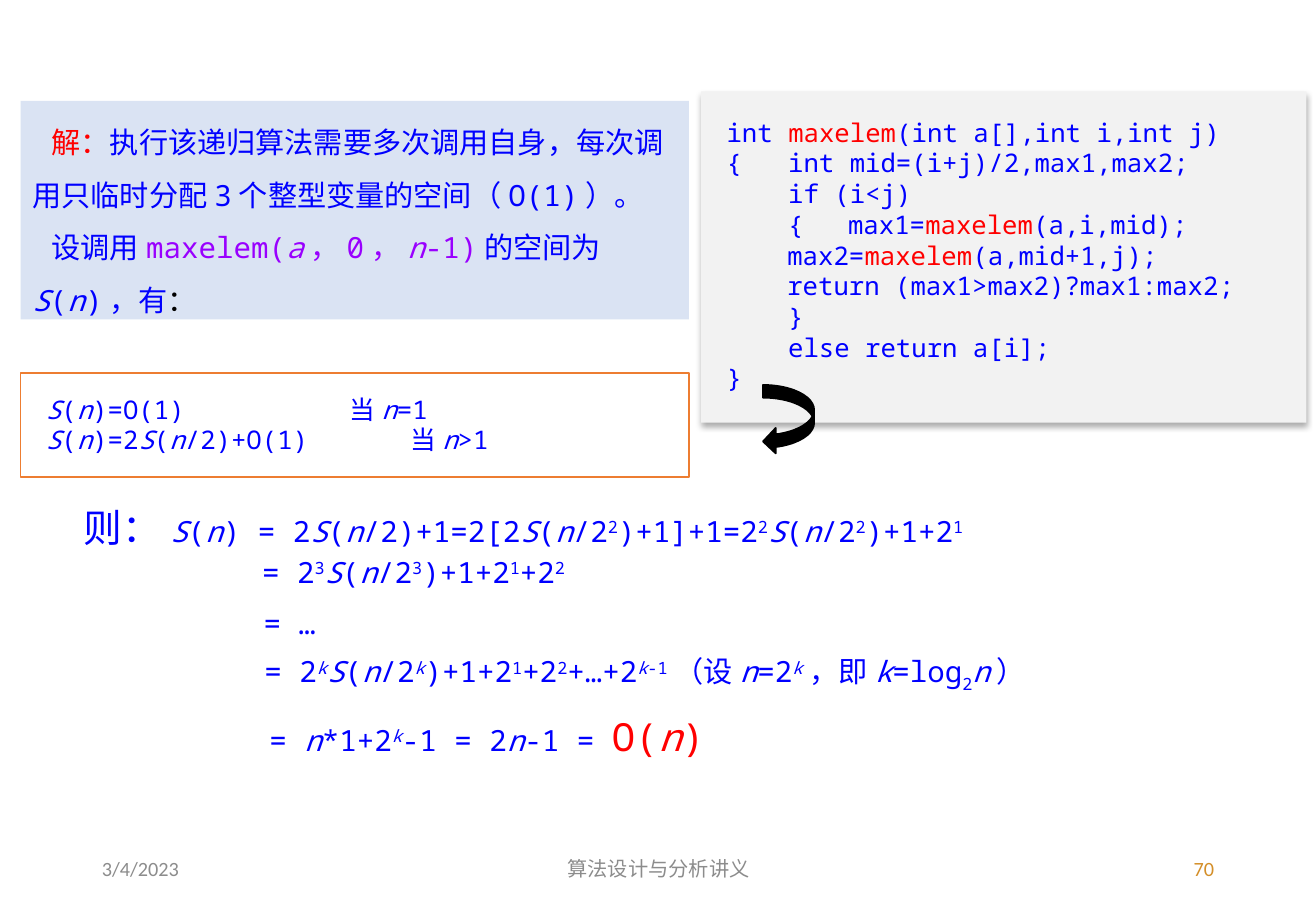
"""Build the slide on the space complexity of the recursive maximum search."""
from lxml import etree
from pptx import Presentation
from pptx import util as u
from pptx.dml.color import RGBColor
from pptx.enum import shapes, text
from pptx.oxml.ns import qn

COLOURS = {
    "ink": "0000FF", "red": "FF0000", "purple": "9900FF", "black": "000000",
    "intro": "DAE3F3", "white": "FFFFFF", "orange": "ED7D31", "card": "F2F2F2",
    "grey": "8C8C8C", "gold": "D48F29",
}
MONO, CJK = "Noto Sans Mono", "Noto Sans CJK SC"
BODY, LARGE, SMALL, FOOT = 17.3, 22.9, 15.2, 12
MARKS = {
    "~": ("italic", True), "^": ("baseline", "30000"), "_": ("baseline", "-25000"),
    "#": ("colour", "red"), "@": ("colour", "purple"), "$": ("colour", "black"),
    "&": ("size", LARGE),
}

INTRO = [
    "#解：#执行该递归算法需要多次调用自身，每次调用只临时分配3个整型变量的空间（O(1)）。",
    "设调用@maxelem(~a~，0，~n~-1)@的空间为~S~(~n~)，有$：$",
]
RECURRENCE = ["~S~(~n~)=O(1)\t当~n~=1", "~S~(~n~)=2~S~(~n~/2)+O(1)\t\t当~n~>1"]
CODE = [
    "int #maxelem#(int a[],int i,int j)",
    "{   int mid=(i+j)/2,max1,max2;",
    "    if (i<j)",
    "    {\tmax1=#maxelem#(a,i,mid);",
    "\tmax2=#maxelem#(a,mid+1,j);",
    "\treturn (max1>max2)?max1:max2;",
    "    }",
    "    else return a[i];",
    "}",
]
STEPS = [
    ((1.5, 10.41, 23.44, 1.24), "&则：&~S~(~n~) = 2~S~(~n~/2)+1=2[2~S~(~n~/2^2^)+1]+1=2^2^~S~(~n~/2^2^)+1+2^1^"),
    ((5.23, 11.46, 8.81, 0.99), "= 2^3^~S~(~n~/2^3^)+1+2^1^+2^2^"),
    ((5.26, 12.52, 3.66, 0.99), "= …"),
    ((5.28, 13.64, 19.23, 0.99),
     "= 2^~k~^~S~(~n~/2^~k~^)+1+2^1^+2^2^+…+2^~k~-1^（设~n~=2^~k~^，即~k~=log_2_~n~）"),
    ((5.38, 14.78, 10.54, 1.24), "= ~n~*1+2^~k~^-1 = 2~n~-1 = &#O(~n~)#&"),
]
FOOTERS = [
    ((1.88, 17.65, 6.2, 1.02), "3/4/2023", "LEFT", "grey"),
    ((9.12, 17.65, 9.3, 1.02), "算法设计与分析讲义", "CENTER", "grey"),
    ((19.43, 17.65, 6.2, 1.02), "70", "RIGHT", "gold"),
]
PANELS = [
    ((0.43, 2.11, 13.97, 4.57), "intro", None, INTRO,
     {"size": BODY, "leading": 1.8, "indent": 0.4}),
    ((0.43, 7.8, 13.97, 2.18), "white", "orange", RECURRENCE,
     {"size": SMALL, "insets": (0.53, 0.43, 0.25, 0.43), "tabs": (6.35, 7.62)}),
    ((14.66, 1.91, 12.65, 6.93), "card", None, CODE,
     {"size": SMALL, "insets": (0.53, 0.53, 0.25, 0.53), "tabs": (1.27, 2.54)}),
]
ARROW = (15.95, 8.05, 1.07, 1.45)


def colour(name):
    return RGBColor.from_string(COLOURS[name])


def set_all(target, values):
    for name, value in values.items():
        setattr(target, name, value)


def split_marks(line, base):
    look, piece = dict(base), ""
    for letter in line:
        if letter not in MARKS:
            piece += letter
            continue
        if piece:
            yield piece, dict(look)
        piece = ""
        key, value = MARKS[letter]
        look[key] = base[key] if look[key] == value else value
    if piece:
        yield piece, look


def write(box, lines, size, ink="ink", font=MONO, leading=1.2, indent=0, tabs=(),
          insets=(0.25, 0.13, 0.25, 0.13), align="LEFT", anchor="TOP"):
    frame = box.text_frame
    sides = ("margin_left", "margin_top", "margin_right", "margin_bottom")
    set_all(frame, {"word_wrap": True, "vertical_anchor": getattr(text.MSO_ANCHOR, anchor),
                    **{side: u.Cm(gap) for side, gap in zip(sides, insets)}})
    base = {"italic": False, "baseline": None, "colour": ink, "size": size}
    for number, line in enumerate(lines):
        para = frame.add_paragraph() if number else frame.paragraphs[0]
        properties = para._p.get_or_add_pPr()
        if indent:
            properties.set("indent", str(u.Cm(indent)))
        if tabs:
            stops = etree.SubElement(properties, qn("a:tabLst"))
            for stop in tabs:
                etree.SubElement(stops, qn("a:tab"), pos=str(u.Cm(stop)), algn="l")
        spans = list(split_marks(line, base))
        tallest = max(look["size"] for _, look in spans)
        set_all(para, {"alignment": getattr(text.PP_ALIGN, align),
                       "line_spacing": u.Pt(round(tallest * leading, 1))})
        for piece, look in spans:
            span = para.add_run()
            span.text = piece
            set_all(span.font, {"name": font, "size": u.Pt(look["size"]),
                                "italic": look["italic"]})
            span.font.color.rgb = colour(look["colour"])
            run_properties = span._r.get_or_add_rPr()
            etree.SubElement(run_properties, qn("a:ea"), typeface=CJK)
            if look["baseline"]:
                run_properties.set("baseline", look["baseline"])


def add_figure(page, kind, place, fill, line):
    figure = page.shapes.add_shape(kind, *map(u.Cm, place))
    figure.shadow.inherit = False
    figure.fill.solid()
    figure.fill.fore_color.rgb = colour(fill)
    if line:
        figure.line.color.rgb = colour(line)
        figure.line.width = u.Pt(1)
    else:
        figure.line.fill.background()
    return figure


def add_shadow(figure):
    effects = figure._element.spPr.find(qn("a:effectLst"))
    shadow = etree.SubElement(effects, qn("a:outerShdw"), blurRad=str(u.Pt(3.5)),
                              dist=str(u.Pt(2.2)), dir="5400000", rotWithShape="0")
    tint = etree.SubElement(shadow, qn("a:srgbClr"), val=COLOURS["black"])
    etree.SubElement(tint, qn("a:alpha"), val="32000")


def main():
    deck = Presentation()
    set_all(deck, {"slide_width": u.Cm(27.51), "slide_height": u.Cm(19.05)})
    page = deck.slides.add_slide(deck.slide_layouts[6])
    kinds = shapes.MSO_SHAPE
    for place, fill, line, lines, layout in PANELS:
        panel = add_figure(page, kinds.RECTANGLE, place, fill, line)
        write(panel, lines, **layout)
        if fill == "card":
            add_shadow(panel)
    for place, line in STEPS:
        write(page.shapes.add_textbox(*map(u.Cm, place)), [line], BODY)
    add_figure(page, kinds.CURVED_LEFT_ARROW, ARROW, "black", "black")
    for place, line, align, ink in FOOTERS:
        write(page.shapes.add_textbox(*map(u.Cm, place)), [line], FOOT, ink, "Calibri",
              align=align, anchor="MIDDLE")
    deck.save("out.pptx")


if __name__ == "__main__":
    main()
